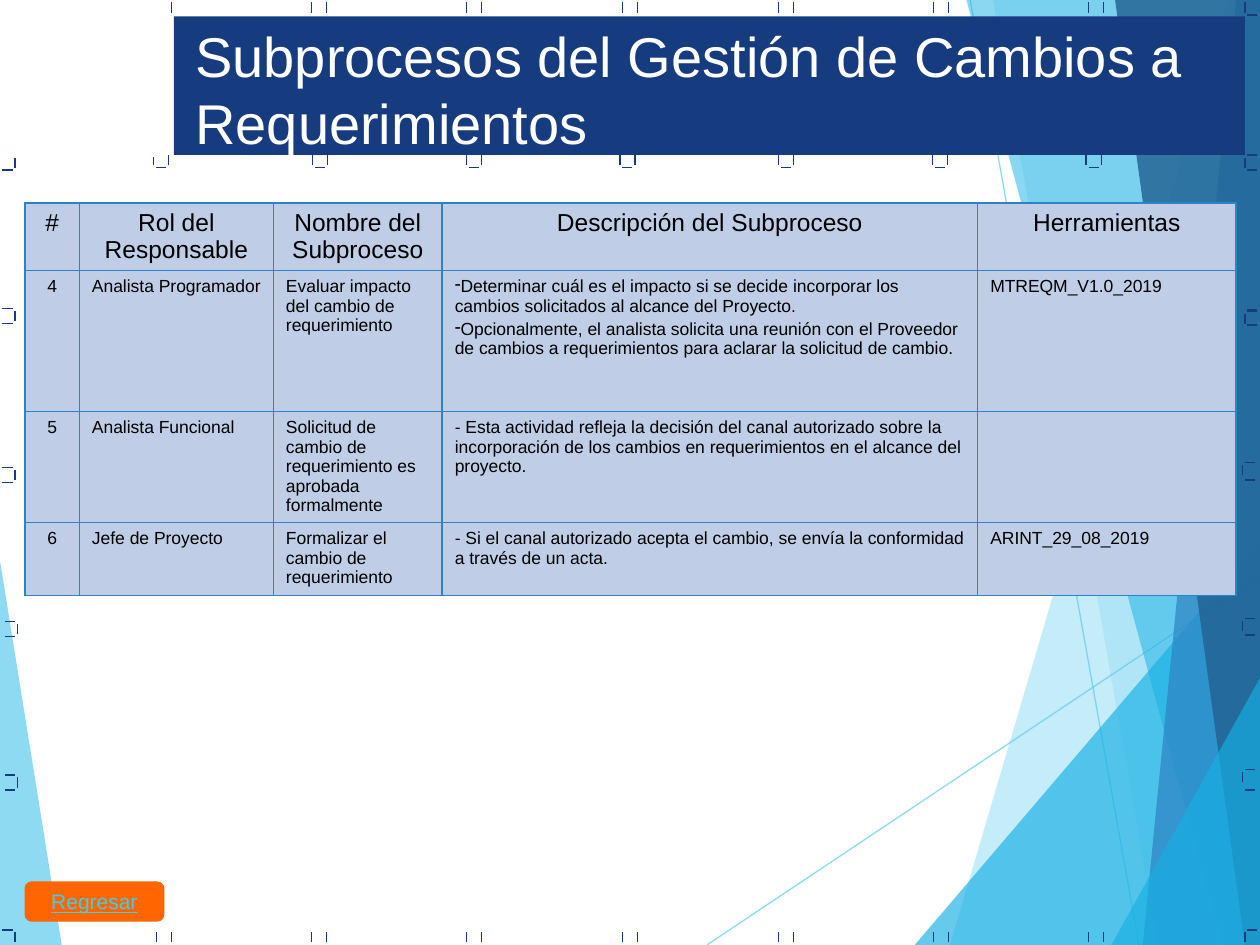
"""Build the slide on change-management subprocesses for requirements."""
import pptx
import pptx.dml.color
import pptx.enum.shapes
import pptx.enum.text
import pptx.oxml
import pptx.oxml.ns
import pptx.util

Inches, Pt = pptx.util.Inches, pptx.util.Pt
RGBColor = pptx.dml.color.RGBColor
SHAPES = pptx.enum.shapes.MSO_SHAPE
ALIGN = pptx.enum.text.PP_ALIGN
ANCHOR = pptx.enum.text.MSO_ANCHOR
qn = pptx.oxml.ns.qn

NAVY, WHITE, BLACK = RGBColor(22, 59, 127), RGBColor(255, 255, 255), RGBColor(0, 0, 0)
SKY, CYAN = RGBColor(95, 203, 239), RGBColor(23, 176, 228)
BLUE, STEEL = RGBColor(46, 131, 195), RGBColor(34, 98, 146)
CELL, ORANGE, LINK = RGBColor(191, 206, 230), RGBColor(255, 102, 0), RGBColor(63, 205, 231)
WIDTH, HEIGHT = 10, 7.5

TITLE = "Subprocesos del Gestión de Cambios a Requerimientos"
HEADERS = ["#", "Rol del Responsable", "Nombre del Subproceso",
           "Descripción del Subproceso", "Herramientas"]
SUBPROCESSES = [
    ["4", "Analista Programador", "Evaluar impacto del cambio de requerimiento",
     ["Determinar cuál es el impacto si se decide incorporar los cambios solicitados "
      "al alcance del Proyecto.",
      "Opcionalmente, el analista solicita una reunión con el Proveedor de cambios a "
      "requerimientos para aclarar la solicitud de cambio."], "MTREQM_V1.0_2019"],
    ["5", "Analista Funcional", "Solicitud de cambio de requerimiento es aprobada formalmente",
     "- Esta actividad refleja la decisión del canal autorizado sobre la incorporación "
     "de los cambios en requerimientos en el alcance del proyecto.", ""],
    ["6", "Jefe de Proyecto", "Formalizar el cambio de requerimiento",
     "- Si el canal autorizado acepta el cambio, se envía la conformidad a través de un acta.",
     "ARINT_29_08_2019"],
]
COLUMN_WIDTHS = [0.43, 1.54, 1.34, 4.25, 2.05]
ROW_HEIGHTS = [0.53, 1.12, 0.88, 0.58]

LEFT_FACET = ([(0, 4.45), (0.49, HEIGHT), (0, HEIGHT)], SKY, 70)
RAYS = [((5.61, HEIGHT), (WIDTH, 4.57)), ((7.7, 0), (9.04, HEIGHT))]
RIGHT_FACETS = [
    ([(9.75, 0), (7.54, HEIGHT), (WIDTH, HEIGHT), (WIDTH, 0)], SKY, 36),
    ([(7.88, 0), (9.19, HEIGHT), (WIDTH, HEIGHT), (WIDTH, 0)], SKY, 20),
    ([(7.26, HEIGHT), (WIDTH, 4.29), (WIDTH, HEIGHT)], CYAN, 66),
    ([(7.67, 0), (9.7, HEIGHT), (WIDTH, HEIGHT), (WIDTH, 0)], CYAN, 50),
    ([(9.81, 0), (9.07, HEIGHT), (WIDTH, HEIGHT), (WIDTH, 0)], BLUE, 70),
    ([(8.85, 0), (9.88, HEIGHT), (WIDTH, HEIGHT), (WIDTH, 0)], STEEL, 82),
    ([(8.82, HEIGHT), (WIDTH, 5.38), (WIDTH, HEIGHT)], CYAN, 66),
]

TICK, GAP = 0.08, 0.02
PAIR = TICK + 2 * GAP
EDGE_COLUMNS = [1.36, 2.59, 3.82, 5.06, 6.3, 7.53, 8.76]
CUP_COLUMNS = [1.34, 2.6, 3.82, 5.04, 6.3, 7.52, 8.74]
LEFT_MARKS = [(0.12, 1.25), (0.12, 2.47), (0.12, 3.73), (0.14, 4.95), (0.14, 6.17)]
RIGHT_MARKS = [(9.88, 0.02, [0.12]), (9.88, 1.25, [1.23, 1.35]), (9.88, 2.49, [2.47, 2.58, 2.46]),
               (9.86, 3.69, [3.67, 3.81]), (9.86, 4.93, [4.91, 5.04]),
               (9.86, 6.13, [6.11, 6.27]), (9.88, 7.4, [7.38])]

presentation = pptx.Presentation()
presentation.slide_width, presentation.slide_height = Inches(WIDTH), Inches(HEIGHT)
slide = presentation.slides.add_slide(presentation.slide_layouts[5])
shapes = slide.shapes


def set_attributes(target, values):
    for name, value in values.items():
        setattr(target, name, value)


def set_alpha(fill_parent, percent):
    for color in fill_parent.iter(qn("a:srgbClr")):
        color.append(pptx.oxml.parse_xml(
            '<a:alpha xmlns:a="http://schemas.openxmlformats.org/drawingml/2006/main" '
            f'val="{percent * 1000}"/>'))


def add_line(start, end, color=NAVY, alpha=100):
    line = shapes.add_connector(pptx.enum.shapes.MSO_CONNECTOR.STRAIGHT,
                                *map(Inches, (*start, *end)))
    line.line.color.rgb, line.line.width = color, Pt(0.75)
    properties = line._element.spPr
    if alpha < 100:
        set_alpha(properties, alpha)
    properties.append(pptx.oxml.parse_xml(
        '<a:effectLst xmlns:a="http://schemas.openxmlformats.org/drawingml/2006/main"/>'))


def add_facet(points, color, alpha):
    corners = [(Inches(x), Inches(y)) for x, y in points]
    builder = shapes.build_freeform(*corners[0], scale=1.0)
    builder.add_line_segments(corners[1:], close=True)
    facet = builder.convert_to_shape()
    facet.shadow.inherit = False
    facet.fill.solid()
    facet.fill.fore_color.rgb = color
    facet.line.fill.background()
    set_alpha(facet._element.spPr, alpha)


def add_block(kind, box, color):
    block = shapes.add_shape(kind, *map(Inches, box))
    block.shadow.inherit = False
    block.fill.solid()
    block.fill.fore_color.rgb = block.line.color.rgb = color
    block.line.width = Pt(0.75)
    return block


def add_vertical(x, y):
    add_line((x, y + TICK), (x, y))


def add_horizontal(x, y):
    add_line((x, y), (x + TICK, y))


def write(paragraph, text, size, color, **font):
    run = paragraph.add_run()
    run.text = text
    run.font.color.rgb = color
    set_attributes(run.font, {"name": "Arial", "size": Pt(size), "bold": False, **font})


def add_border(cell):
    properties = cell._tc.get_or_add_tcPr()
    for index, side in enumerate(("lnL", "lnR", "lnT", "lnB")):
        properties.insert(index, pptx.oxml.parse_xml(
            f'<a:{side} xmlns:a="http://schemas.openxmlformats.org/drawingml/2006/main" '
            f'w="12700"><a:solidFill><a:srgbClr val="{BLUE}"/></a:solidFill></a:{side}>'))


def add_dash(paragraph):
    properties = paragraph._p.get_or_add_pPr()
    properties.set("marL", "0")
    properties.set("indent", "0")
    properties.append(pptx.oxml.parse_xml(
        '<a:buChar xmlns:a="http://schemas.openxmlformats.org/drawingml/2006/main" char="-"/>'))


add_facet(*LEFT_FACET)
for start, end in RAYS:
    add_line(start, end, SKY, 70)
for facet in RIGHT_FACETS:
    add_facet(*facet)

for x in EDGE_COLUMNS:
    for left, top in ((x, 0.02), (x - PAIR, 0.02), (x, 7.4), (x - PAIR, 7.4)):
        if (left, top) != (EDGE_COLUMNS[0] - PAIR, 0.02):
            add_vertical(left, top)
for x, y, bars in RIGHT_MARKS:
    add_vertical(x, y)
    for bar in bars:
        add_horizontal(x + GAP, bar)
add_block(SHAPES.RECTANGLE, (1.38, 0.13, 8.5, 1.1), NAVY).line.fill.background()
for x, y in LEFT_MARKS:
    add_vertical(x, y)
    for bar in (y - GAP, y + TICK + GAP):
        add_horizontal(x - TICK - GAP, bar)
add_vertical(0.12, 7.4)
add_horizontal(0.02, 7.38)
for x in CUP_COLUMNS:
    add_vertical(x, 1.23)
    add_vertical(x - PAIR, 1.23)
    add_horizontal(x - TICK - GAP, 1.33)
add_block(SHAPES.RECTANGLE, (0, 0, 1.33, 1.24), WHITE)

table = shapes.add_table(len(ROW_HEIGHTS), len(COLUMN_WIDTHS), Inches(0.2), Inches(1.61),
                         Inches(sum(COLUMN_WIDTHS)), Inches(sum(ROW_HEIGHTS))).table
set_attributes(table, {"first_row": False, "horz_banding": False})
for column, width in zip(table.columns, COLUMN_WIDTHS):
    column.width = Inches(width)
for row_index, (row, height, texts) in enumerate(
        zip(table.rows, ROW_HEIGHTS, [HEADERS, *SUBPROCESSES])):
    row.height = Inches(height)
    for column_index, (cell, text) in enumerate(zip(row.cells, texts)):
        cell.fill.solid()
        cell.fill.fore_color.rgb = CELL
        add_border(cell)
        size = 10 if row_index else 14
        centred = row_index == 0 or column_index == 0
        items = text if isinstance(text, list) else [text]
        for index, item in enumerate(items):
            frame = cell.text_frame
            paragraph = frame.add_paragraph() if index else frame.paragraphs[0]
            set_attributes(paragraph, {"alignment": ALIGN.CENTER if centred else ALIGN.LEFT,
                                       "space_before": Pt(size * 0.2)})
            if item:
                write(paragraph, item, size, BLACK)
            if len(items) > 1:
                add_dash(paragraph)

button = add_block(SHAPES.FLOWCHART_ALTERNATE_PROCESS, (0.2, 7, 1.1, 0.31), ORANGE)
set_attributes(button.text_frame, {"word_wrap": False, "vertical_anchor": ANCHOR.MIDDLE})
button.text_frame.paragraphs[0].alignment = ALIGN.CENTER
write(button.text_frame.paragraphs[0], "Regresar", 12, LINK, underline=True)

title = shapes.title
set_attributes(title, {"left": Inches(1.45), "top": Inches(0.12),
                       "width": Inches(8.4), "height": Inches(1.17)})
set_attributes(title.text_frame, {"word_wrap": True, "vertical_anchor": ANCHOR.TOP,
                                  "auto_size": pptx.enum.text.MSO_AUTO_SIZE.NONE})
title.text_frame.paragraphs[0].alignment = ALIGN.LEFT
write(title.text_frame.paragraphs[0], TITLE, 32, WHITE)
shapes._spTree.append(title._element)

presentation.save("out.pptx")
